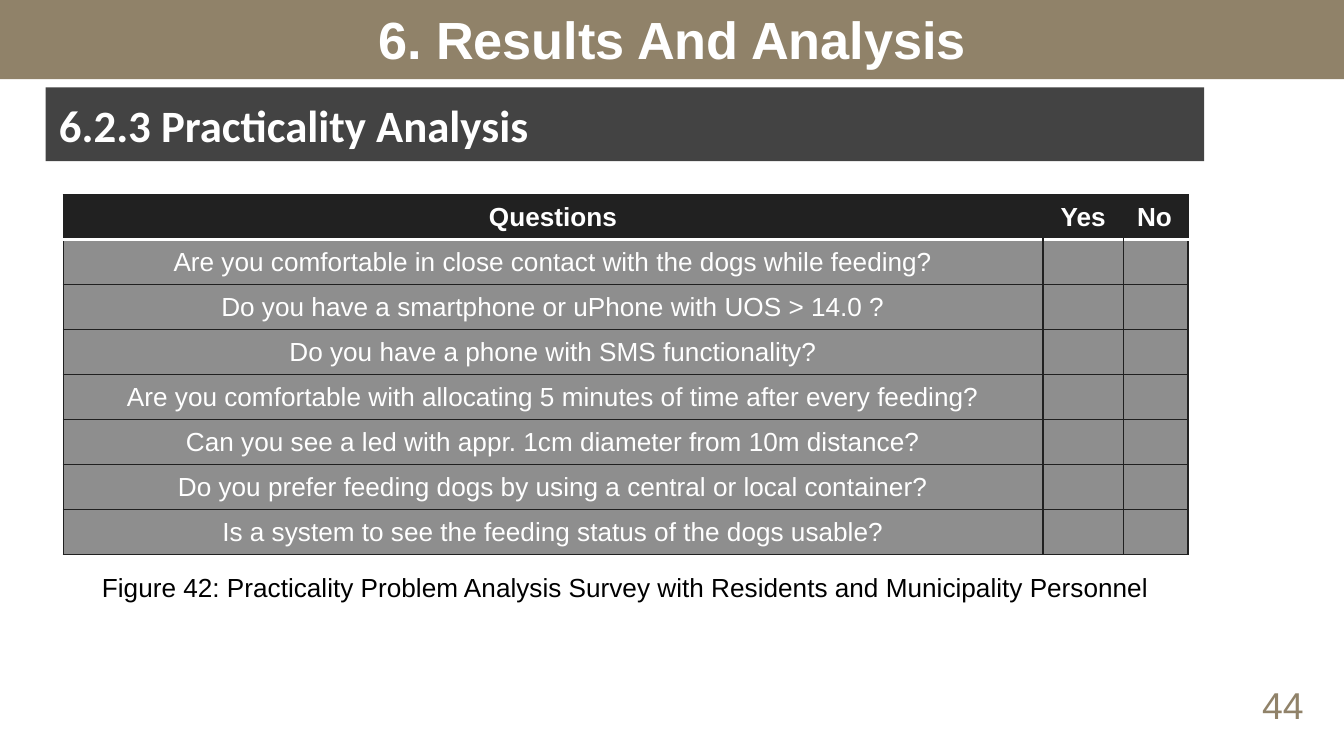
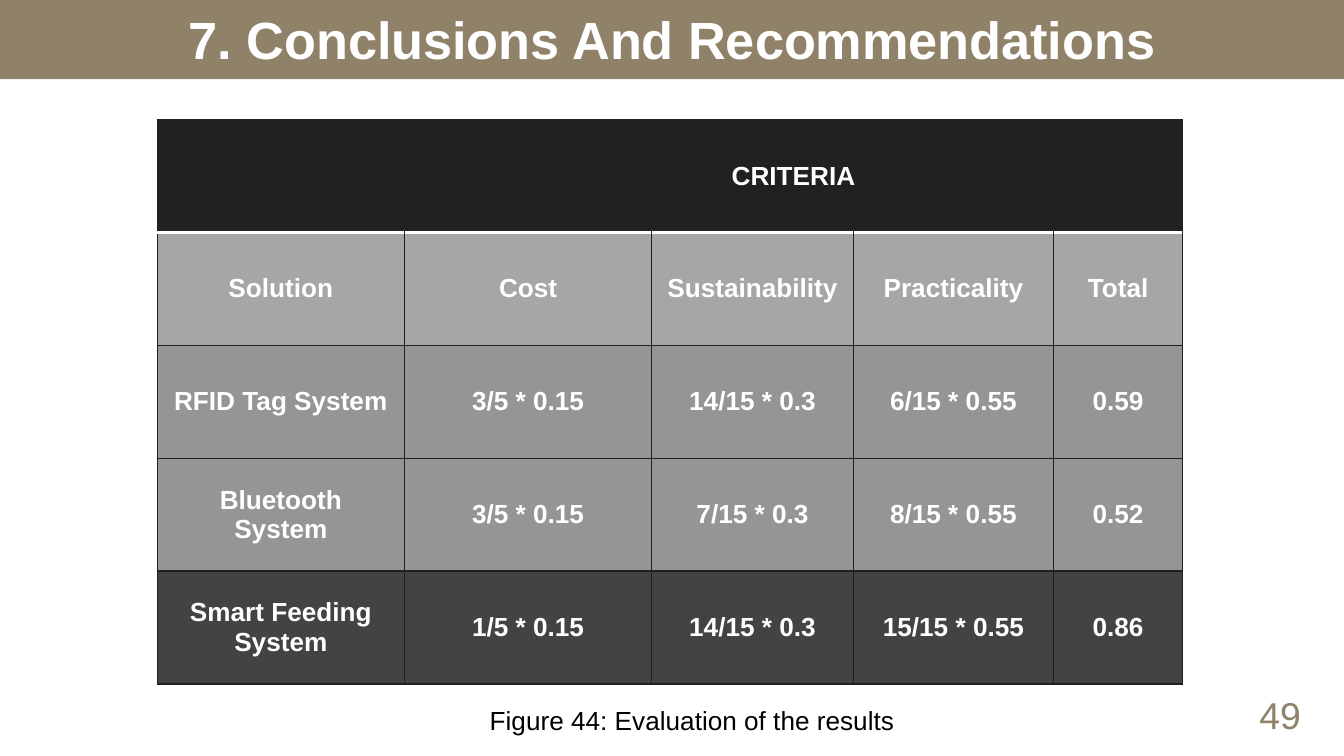
"""Build the survey and evaluation slides of a results deck."""
from dataclasses import dataclass
from typing import Any, NamedTuple, Optional

from lxml import etree
from pptx import Presentation
from pptx import util as u
from pptx.dml import color
from pptx.enum import shapes, text
from pptx.oxml import ns

PX = 4572
INK = {
    "band": "908269", "bar": "434343", "head": "212121", "edge": "202020",
    "row": "8E8E8E", "score": "959595", "white": "FFFFFF", "black": "000000",
}
LEFT, MID = text.PP_ALIGN.LEFT, text.PP_ALIGN.CENTER


class Box(NamedTuple):
    """A rectangle in px."""
    x: int
    y: int
    w: int
    h: int

    def emu(self) -> list[u.Emu]:
        """Give the four lengths in EMU."""
        return [u.Emu(v * PX) for v in self]


class Style(NamedTuple):
    """The look of a line of text."""
    size: int
    ink: str
    bold: bool = False
    face: str = "Arial"
    align: Any = MID


class Fill(NamedTuple):
    """A cell colour with its opacity in percent."""
    ink: str
    alpha: int = 100


@dataclass
class Grid:
    """A table with a header row."""
    x: int
    y: int
    cols: list[int]
    high: int
    rows: list[list[str]]
    fills: list[Fill]
    bold: bool = False
    left: tuple = ()
    span: Optional[int] = None


@dataclass
class Page:
    """The content of one slide."""
    title: str
    num: str
    spot: Box
    grid: Grid
    note: str
    place: Box
    topic: str = ""


TITLE = Style(28, "white", True)
TOPIC = Style(24, "white", True, "Calibri", LEFT)
NUM = Style(20, "band")
NOTE = Style(14, "black")
BAND = Box(0, -2, 2000, 120)
BAR = Box(68, 130, 1724, 110)
LABEL = Box(68, 130, 1576, 110)


def rgb(ink: str) -> color.RGBColor:
    """Look up a colour by name."""
    return color.RGBColor.from_string(INK[ink])


def dress(para: Any, style: Style) -> None:
    """Format a paragraph and its runs."""
    para.alignment = style.align
    for run in para.runs:
        font = run.font
        font.name, font.size, font.bold = style.face, u.Pt(style.size), style.bold
        font.color.rgb = rgb(style.ink)


def block(tree: Any, box: Box, ink: str) -> None:
    """Draw a plain filled rectangle."""
    shape = tree.add_shape(shapes.MSO_SHAPE.RECTANGLE, *box.emu())
    shape.shadow.inherit = False
    shape.fill.solid()
    shape.fill.fore_color.rgb = rgb(ink)
    shape.line.fill.background()


def write(tree: Any, box: Box, words: str, style: Style, tall: bool = False) -> None:
    """Add a text box, centred in height and evenly inset if tall."""
    frame = tree.add_textbox(*box.emu()).text_frame
    frame.word_wrap = True
    if tall:
        frame.vertical_anchor = text.MSO_ANCHOR.MIDDLE
        frame.margin_top = frame.margin_bottom = u.Inches(0.1)
    else:
        frame.auto_size = text.MSO_AUTO_SIZE.SHAPE_TO_FIT_TEXT
    frame.text = words
    dress(frame.paragraphs[0], style)


def edge(cell: Any, side: str, ink: Optional[str], wide: float = 0.75) -> None:
    """Set one border of a cell, or clear it."""
    line = etree.SubElement(
        cell._tc.get_or_add_tcPr(), ns.qn(f"a:ln{side}"), w=str(u.Pt(wide)))
    if ink is None:
        etree.SubElement(line, ns.qn("a:noFill"))
    else:
        solid = etree.SubElement(line, ns.qn("a:solidFill"))
        etree.SubElement(solid, ns.qn("a:srgbClr"), val=INK[ink])


def frame(cell: Any, row: int, col: int, last: int) -> None:
    """Set the four borders of a cell by its place."""
    body = row > 0
    edge(cell, "L", "edge" if body or col == 0 else None)
    edge(cell, "R", "edge" if body or col == last else None)
    for side, seam in (("T", 1), ("B", 0)):
        if row == seam:
            edge(cell, side, "white", 2)
        else:
            edge(cell, side, "edge")


def paint(cell: Any, fill: Fill) -> None:
    """Fill a cell."""
    cell.fill.solid()
    cell.fill.fore_color.rgb = rgb(fill.ink)
    if fill.alpha < 100:
        tint = cell._tc.tcPr.find(ns.qn("a:solidFill"))[0]
        etree.SubElement(tint, ns.qn("a:alpha"), val=str(fill.alpha * 1000))


def chart(tree: Any, grid: Grid) -> None:
    """Draw a table."""
    count, last = len(grid.rows), len(grid.cols) - 1
    box = Box(grid.x, grid.y, sum(grid.cols), grid.high * count)
    table = tree.add_table(count, last + 1, *box.emu()).table
    table.horz_banding = False
    for col, wide in zip(table.columns, grid.cols):
        col.width = u.Emu(wide * PX)
    for r, (words, fill) in enumerate(zip(grid.rows, grid.fills)):
        table.rows[r].height = u.Emu(grid.high * PX)
        for c in range(last + 1):
            cell = table.cell(r, c)
            frame(cell, r, c, last)
            paint(cell, fill)
            cell.vertical_anchor = text.MSO_ANCHOR.MIDDLE
            para = cell.text_frame.paragraphs[0]
            if c < len(words) and words[c]:
                para.text = words[c]
            else:
                etree.SubElement(para._p, ns.qn("a:endParaRPr"), sz="1400")
            align = LEFT if (r, c) in grid.left else MID
            dress(para, Style(14, "white", grid.bold or r == 0, align=align))
    if grid.span is not None:
        table.cell(0, grid.span).merge(table.cell(0, last))


def build(deck: Any, page: Page) -> None:
    """Add one slide."""
    tree = deck.slides.add_slide(deck.slide_layouts[6]).shapes
    block(tree, BAND, "band")
    write(tree, BAND, page.title, TITLE, True)
    write(tree, page.spot, page.num, NUM)
    if page.topic:
        group = tree.add_group_shape().shapes
        block(group, BAR, "bar")
        write(group, LABEL, page.topic, TOPIC, True)
    chart(tree, page.grid)
    write(tree, page.place, page.note, NOTE)


ASKS = [
    "Are you comfortable in close contact with the dogs while feeding?",
    "Do you have a smartphone or uPhone with UOS > 14.0 ?",
    "Do you have a phone with SMS functionality?",
    "Are you comfortable with allocating 5 minutes of time after every feeding?",
    "Can you see a led with appr. 1cm diameter from 10m distance?",
    "Do you prefer feeding dogs by using a central or local container?",
    "Is a system to see the feeding status of the dogs usable?",
]
SURVEY = Grid(
    94, 290, [1458, 120, 96], 67,
    [["Questions", "Yes", "No"]] + [[ask] for ask in ASKS],
    [Fill("head")] + [Fill("row")] * len(ASKS),
    left=((0, 2),),
)
SCORES = Grid(
    234, 178, [368, 368, 300, 298, 192], 168,
    [
        ["", "CRITERIA"],
        ["Solution", "Cost", "Sustainability", "Practicality", "Total"],
        ["RFID Tag System", "3/5 * 0.15", "14/15 * 0.3", "6/15 * 0.55", "0.59"],
        ["Bluetooth System", "3/5 * 0.15", "7/15 * 0.3", "8/15 * 0.55", "0.52"],
        ["Smart Feeding System", "1/5 * 0.15", "14/15 * 0.3", "15/15 * 0.55", "0.86"],
    ],
    [Fill("head"), Fill("head", 40), Fill("score"), Fill("score"), Fill("bar")],
    bold=True, span=1,
)
PAGES = [
    Page(
        "6. Results And Analysis", "44", Box(1818, 1006, 182, 88), SURVEY,
        "Figure 42: Practicality Problem Analysis Survey with Residents"
        " and Municipality Personnel",
        Box(94, 840, 1674, 68), "6.2.3 Practicality Analysis",
    ),
    Page(
        "7. Conclusions And Recommendations", "49", Box(1810, 1020, 190, 88),
        SCORES, "Figure 44: Evaluation of the results", Box(618, 1038, 824, 68),
    ),
]


def main() -> None:
    """Build and save the deck."""
    deck = Presentation()
    deck.slide_width, deck.slide_height = u.Emu(2000 * PX), u.Emu(1125 * PX)
    for page in PAGES:
        build(deck, page)
    deck.save("out.pptx")


if __name__ == "__main__":
    main()
